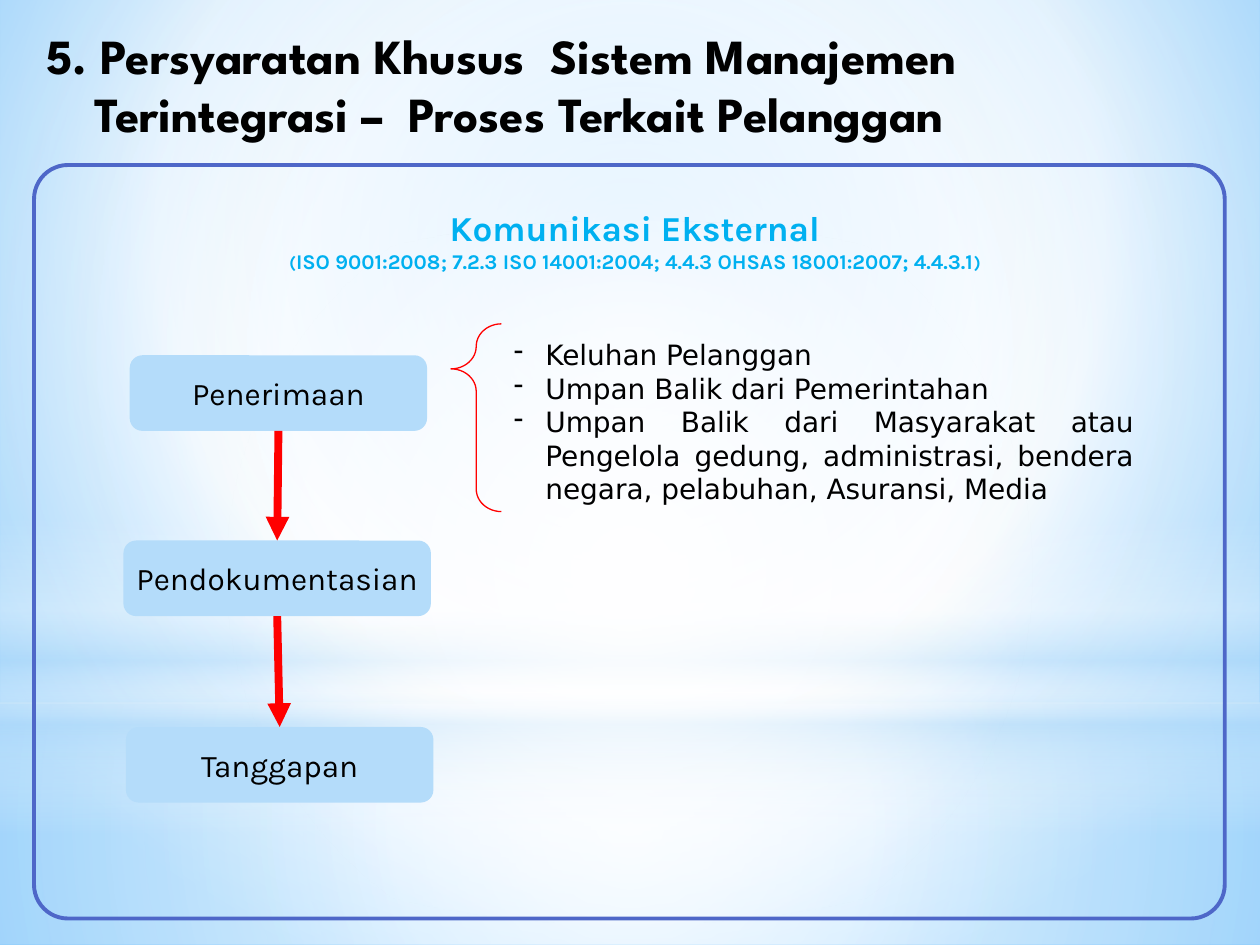
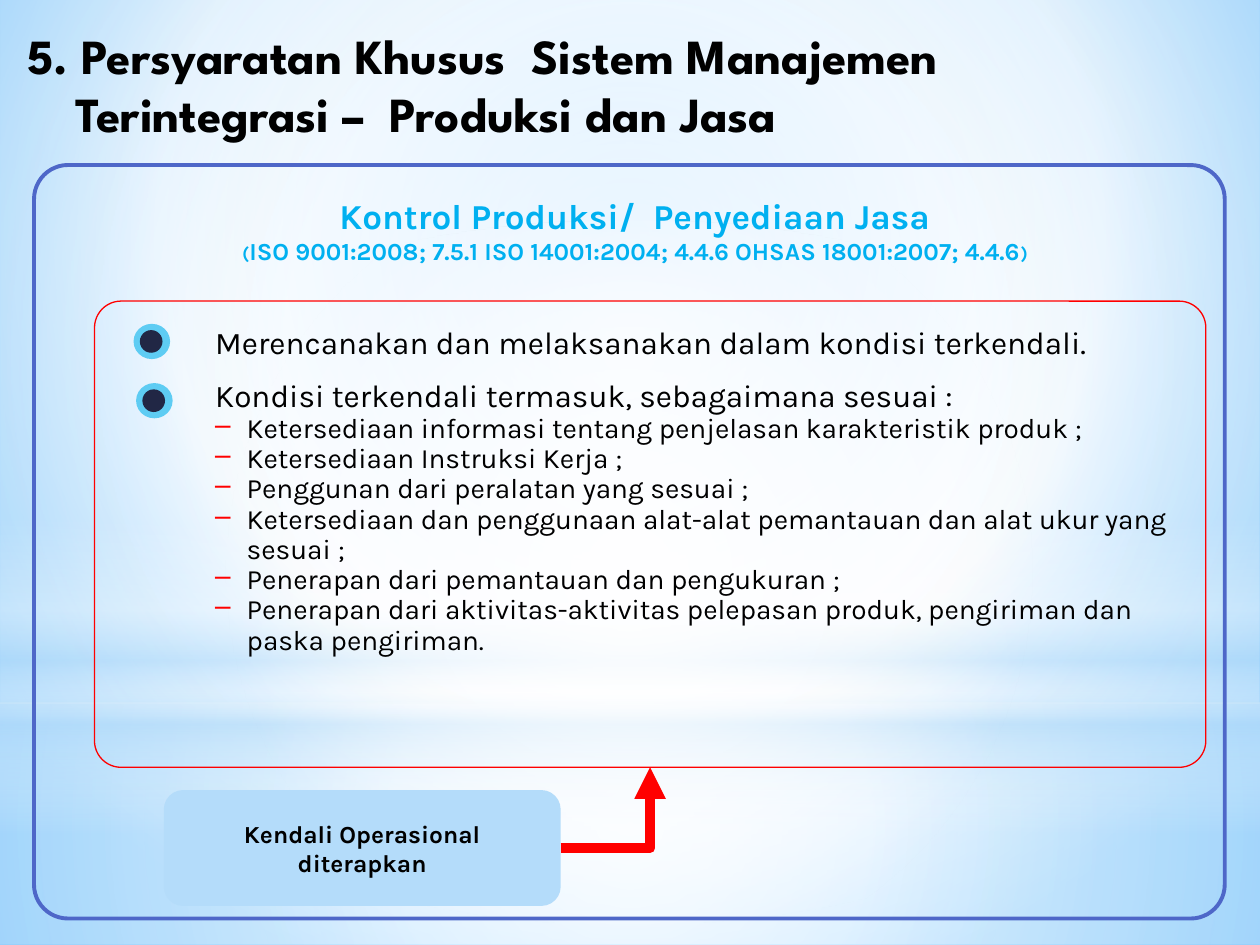
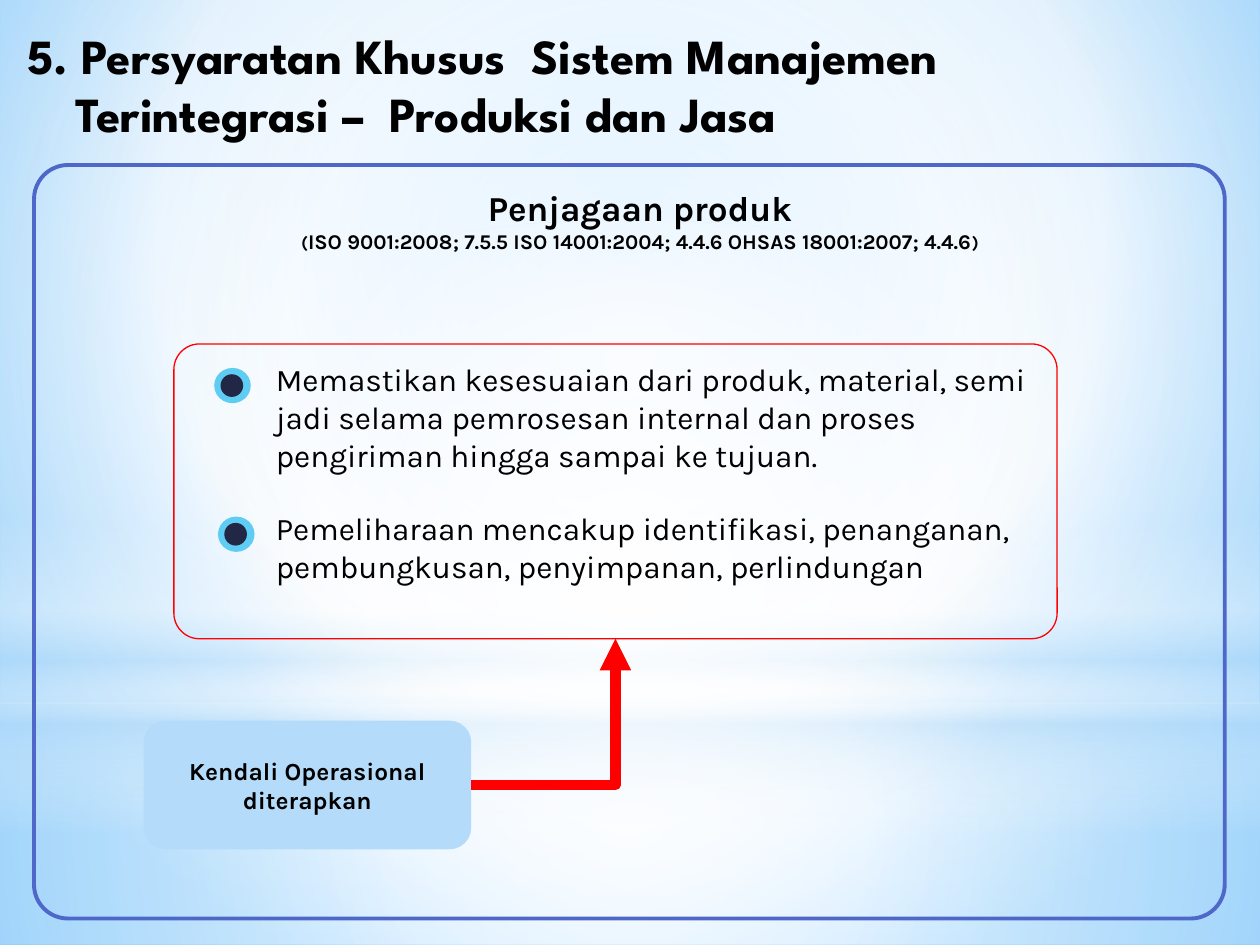
import itertools
from dataclasses import dataclass
from typing import NamedTuple, Optional

import pptx
import pptx.dml.color
import pptx.enum.shapes
import pptx.enum.text
import pptx.oxml.ns
import pptx.shapes.autoshape
import pptx.shapes.connector
import pptx.slide
import pptx.text.text
import pptx.util
from lxml import etree

Inches = pptx.util.Inches
Pt = pptx.util.Pt
qn = pptx.oxml.ns.qn
MSO_SHAPE = pptx.enum.shapes.MSO_SHAPE
CONNECTOR = pptx.enum.shapes.MSO_CONNECTOR
ALIGN = pptx.enum.text.PP_ALIGN


@dataclass(frozen=True)
class Theme:
    ink: str = "000000"
    accent: str = "00B0F0"
    red: str = "FF0000"
    frame: str = "4E67C8"
    step: str = "B4DCFA"
    white: str = "FFFFFF"
    sky: str = "9ED5FF"
    deep_sky: str = "5BB9FF"
    ring: str = "5ECCF3"
    core: str = "212745"
    title_font: str = "League Spartan"
    body_font: str = "Karla"
    note_font: str = "DejaVu Sans"
    title_size: float = 28
    heading_size: float = 20
    body_size: float = 18
    list_size: float = 16
    label_size: float = 14
    clause_size: float = 12
    bracket_size: float = 10


THEME = Theme()


class Box(NamedTuple):
    left: float
    top: float
    width: float
    height: float

    @property
    def center_x(self) -> float:
        return self.left + self.width / 2

    @property
    def middle_y(self) -> float:
        return self.top + self.height / 2

    @property
    def bottom(self) -> float:
        return self.top + self.height

    def lengths(self) -> list[pptx.util.Length]:
        return [Inches(value) for value in self]


class Stop(NamedTuple):
    position: int
    color: str
    opacity: int = 100


class Piece(NamedTuple):
    text: str
    size: float


@dataclass(frozen=True)
class Para:
    pieces: tuple[Piece, ...]
    font: str = THEME.body_font
    color: str = THEME.ink
    bold: bool = False
    align: Optional[ALIGN] = None
    hanging: float = 0
    spacing: Optional[float] = None
    level: int = 0
    bullet: str = ""
    bullet_color: str = ""


class Glow(NamedTuple):
    """One translucent layer of the shared backdrop."""
    kind: MSO_SHAPE
    box: Box
    stops: tuple[Stop, ...]
    angle: Optional[int] = None


CENTERED = (50, 50, 50, 50)
SKY_STOPS = (Stop(0, THEME.sky), Stop(60, THEME.white), Stop(100, THEME.deep_sky))
GLOWS = (
    Glow(MSO_SHAPE.RECTANGLE, Box(0, 5.58, 10, 1.92),
         (Stop(0, THEME.white, 91), Stop(37, THEME.white, 76), Stop(100, THEME.step, 79))),
    Glow(MSO_SHAPE.RECTANGLE, Box(0, 0, 10, 5.58),
         (Stop(0, THEME.white, 89), Stop(48, THEME.white, 62), Stop(100, THEME.step, 79))),
    Glow(MSO_SHAPE.RECTANGLE, Box(0, 4.12, 10, 2.5),
         (Stop(0, THEME.white, 0), Stop(29, THEME.white, 30), Stop(45, THEME.step, 40),
          Stop(55, THEME.white, 26), Stop(65, THEME.step, 60), Stop(100, THEME.white, 0)), 90),
    Glow(MSO_SHAPE.OVAL, Box(0, 1.75, 10, 5.58),
         (Stop(0, THEME.white), Stop(56, THEME.white, 0))),
)
FRAME = Box(0.27, 1.31, 9.45, 5.98)
PRODUCTION_TITLE = "5. Persyaratan Khusus  Sistem Manajemen  Terintegrasi –  Produksi dan Jasa"
PRODUCTION_TITLE_BOX = Box(0.12, 0.15, 9.6, 1.05)


def rgb(color: str) -> pptx.dml.color.RGBColor:
    return pptx.dml.color.RGBColor.from_string(color)


def set_gradient(owner: etree._Element, stops: tuple[Stop, ...],
                 angle: Optional[int] = None,
                 focus: tuple[int, ...] = CENTERED) -> None:
    """Give the first gradient inside owner its stops and its direction."""
    gradient = next(owner.iter(qn("a:gradFill")))
    for child in list(gradient):
        gradient.remove(child)
    stop_list = etree.SubElement(gradient, qn("a:gsLst"))
    for stop in stops:
        mark = etree.SubElement(stop_list, qn("a:gs"), pos=str(stop.position * 1000))
        color = etree.SubElement(mark, qn("a:srgbClr"), val=stop.color)
        if stop.opacity < 100:
            etree.SubElement(color, qn("a:alpha"), val=str(stop.opacity * 1000))
    if angle is not None:
        etree.SubElement(gradient, qn("a:lin"), ang=str(angle * 60000), scaled="0")
        return
    circle = etree.SubElement(gradient, qn("a:path"), {"path": "circle"})
    edges = {edge: str(share * 1000) for edge, share in zip("ltrb", focus)}
    etree.SubElement(circle, qn("a:fillToRect"), edges)


def add_figure(shapes, kind: MSO_SHAPE, box: Box, fill: str = "", line: str = "",
               line_width: float = 0.75,
               adjustments: tuple[float, ...] = ()) -> pptx.shapes.autoshape.Shape:
    figure = shapes.add_shape(kind, *box.lengths())
    figure.shadow.inherit = False
    for index, value in enumerate(adjustments):
        figure.adjustments[index] = value
    if fill:
        figure.fill.solid()
        figure.fill.fore_color.rgb = rgb(fill)
    else:
        figure.fill.background()
    if line:
        figure.line.color.rgb = rgb(line)
        figure.line.width = Pt(line_width)
    else:
        figure.line.fill.background()
    return figure


def paint_master(master: pptx.slide.SlideMaster, slide: pptx.slide.Slide) -> None:
    """Draw the backdrop layers and move them behind everything on the master."""
    master.background.fill.gradient()
    set_gradient(master.element, SKY_STOPS, focus=(20, 10, 20, 60))
    for glow in GLOWS:
        layer = add_figure(slide.shapes, glow.kind, glow.box)
        layer.fill.gradient()
        set_gradient(layer.element, glow.stops, glow.angle)
        master.shapes.element.append(layer.element)


def format_paragraph(paragraph: pptx.text.text._Paragraph, para: Para) -> None:
    paragraph.alignment = para.align
    paragraph.level = para.level
    if para.spacing:
        paragraph.line_spacing = para.spacing
    properties = paragraph._p.get_or_add_pPr()
    if para.hanging:
        properties.set("marL", str(Inches(para.hanging)))
        properties.set("indent", str(-Inches(para.hanging)))
    if para.bullet_color:
        bullet_color = etree.SubElement(properties, qn("a:buClr"))
        etree.SubElement(bullet_color, qn("a:srgbClr"), val=para.bullet_color)
    if para.bullet:
        etree.SubElement(properties, qn("a:buChar"), char=para.bullet)
    for piece in para.pieces:
        run = paragraph.add_run()
        run.text = piece.text
        run.font.name = para.font
        run.font.size = Pt(piece.size)
        run.font.bold = para.bold
        run.font.color.rgb = rgb(para.color)


def write(frame: pptx.text.text.TextFrame, paras: list[Para], wrap: bool = True) -> None:
    frame.word_wrap = wrap
    for index, para in enumerate(paras):
        paragraph = frame.add_paragraph() if index else frame.paragraphs[0]
        format_paragraph(paragraph, para)


def add_text(slide: pptx.slide.Slide, box: Box, paras: list[Para]) -> None:
    write(slide.shapes.add_textbox(*box.lengths()).text_frame, paras)


def add_label(slide: pptx.slide.Slide, box: Box, paras: list[Para], fill: str = "") -> None:
    label = add_figure(slide.shapes, MSO_SHAPE.ROUNDED_RECTANGLE, box, fill,
                       adjustments=(0.167,))
    label.text_frame.vertical_anchor = pptx.enum.text.MSO_ANCHOR.MIDDLE
    write(label.text_frame, paras, wrap=False)


def add_arrow(slide: pptx.slide.Slide, kind: CONNECTOR, start: tuple[float, float],
              end: tuple[float, float], width: float) -> pptx.shapes.connector.Connector:
    ends = [Inches(value) for value in (*start, *end)]
    arrow = slide.shapes.add_connector(kind, *ends)
    arrow.line.color.rgb = rgb(THEME.red)
    arrow.line.width = Pt(width)
    properties = arrow.element.spPr
    etree.SubElement(properties.find(qn("a:ln")), qn("a:tailEnd"), type="triangle")
    etree.SubElement(properties, qn("a:effectLst"))
    return arrow


def add_outline(slide: pptx.slide.Slide, box: Box, color: str, width: float,
                corner: float) -> None:
    add_figure(slide.shapes, MSO_SHAPE.ROUNDED_RECTANGLE, box, line=color,
               line_width=width, adjustments=(corner,))


def add_title(slide: pptx.slide.Slide, box: Box, title: str) -> None:
    """Add the slide title and the frame below it."""
    add_outline(slide, FRAME, THEME.frame, 2.25, 0.045)
    add_text(slide, box, [Para((Piece(title, THEME.title_size),), THEME.title_font,
                               bold=True, hanging=0.38)])


def add_heading(slide: pptx.slide.Slide, left: float, top: float, heading: str,
                clauses: str, color: str = THEME.accent,
                clause_size: float = THEME.clause_size,
                bracket_size: float = THEME.bracket_size) -> None:
    lines = ((Piece(heading, THEME.heading_size),),
             (Piece("(", bracket_size), Piece(clauses, clause_size),
              Piece(")", bracket_size)))
    add_label(slide, Box(left, top, 9.06, 0.87),
              [Para(line, color=color, bold=True, align=ALIGN.CENTER) for line in lines])


def add_marker(slide: pptx.slide.Slide, left: float, top: float) -> None:
    """Add a round bullet: a light ring with a dark core."""
    marker = slide.shapes.add_group_shape()
    add_figure(marker.shapes, MSO_SHAPE.OVAL, Box(left, top, 0.29, 0.28), THEME.ring)
    add_figure(marker.shapes, MSO_SHAPE.OVAL,
               Box(left + 0.05, top + 0.05, 0.18, 0.18), THEME.core)


def add_operational_control(slide: pptx.slide.Slide, control: Box, rules: Box,
                            corner: float) -> None:
    """Outline the rules and lead the control box to them with a bent arrow."""
    add_outline(slide, rules, THEME.red, 0.75, corner)
    add_label(slide, control,
              [Para((Piece(line, THEME.label_size),), bold=True, align=ALIGN.CENTER)
               for line in ("Kendali Operasional", "diterapkan")], THEME.step)
    arrow = add_arrow(slide, CONNECTOR.ELBOW,
                      (control.left + control.width, control.middle_y),
                      (rules.center_x, rules.bottom), 6)
    arrow.element.spPr.find(qn("a:prstGeom")).set("prst", "bentConnector2")


def build_communication(slide: pptx.slide.Slide) -> None:
    add_heading(slide, 0.51, 1.47, "Komunikasi Eksternal",
                "ISO 9001:2008; 7.2.3 ISO 14001:2004; 4.4.3 OHSAS 18001:2007; 4.4.3.1")
    steps = {
        "Penerimaan": Box(1.03, 2.82, 2.36, 0.6),
        "Pendokumentasian": Box(0.98, 4.29, 2.44, 0.6),
        "Tanggapan": Box(1, 5.77, 2.44, 0.6),
    }
    for step, box in steps.items():
        add_label(slide, box, [Para((Piece(step, THEME.body_size),), align=ALIGN.CENTER)],
                  THEME.step)
    for upper, lower in itertools.pairwise(steps.values()):
        add_arrow(slide, CONNECTOR.STRAIGHT, (upper.center_x, upper.bottom),
                  (lower.center_x, lower.top), 4.5)
    inputs = (
        "Keluhan Pelanggan",
        "Umpan Balik dari Pemerintahan",
        "Umpan Balik dari Masyarakat atau Pengelola gedung, administrasi, "
        "bendera negara, pelabuhan, Asuransi, Media",
    )
    add_text(slide, Box(3.98, 2.63, 5.12, 1.55),
             [Para((Piece(text, THEME.list_size),), THEME.note_font, align=ALIGN.JUSTIFY,
                   hanging=0.25, bullet="-") for text in inputs])
    add_figure(slide.shapes, MSO_SHAPE.LEFT_BRACE, Box(3.58, 2.57, 0.4, 1.49),
               line=THEME.red, adjustments=(0.622, 0.24))
    add_title(slide, Box(0.27, 0.15, 9.45, 1.05),
              "5. Persyaratan Khusus  Sistem Manajemen  Terintegrasi –  "
              "Proses Terkait Pelanggan")


def build_production_control(slide: pptx.slide.Slide) -> None:
    add_heading(slide, 0.51, 1.39, "Kontrol Produksi/  Penyediaan Jasa",
                "ISO 9001:2008; 7.5.1 ISO 14001:2004; 4.4.6 OHSAS 18001:2007; 4.4.6",
                clause_size=THEME.label_size, bracket_size=10.5)
    add_operational_control(slide, Box(1.3, 6.27, 3.15, 0.92),
                            Box(0.75, 2.39, 8.82, 3.7), 0.057)
    add_marker(slide, 1.06, 2.57)
    add_marker(slide, 1.08, 3.04)
    planning, conditions = (
        Para((Piece(text, THEME.body_size),), hanging=0.38, spacing=0.9)
        for text in ("Merencanakan dan melaksanakan dalam kondisi terkendali.",
                     "Kondisi terkendali termasuk, sebagaimana sesuai :"))
    details = (
        "Ketersediaan informasi tentang penjelasan karakteristik produk ;",
        "Ketersediaan Instruksi Kerja ;",
        "Penggunan dari peralatan yang sesuai ;",
        "Ketersediaan dan penggunaan alat-alat pemantauan dan alat ukur yang sesuai ;",
        "Penerapan dari pemantauan dan pengukuran ;",
        "Penerapan dari aktivitas-aktivitas pelepasan produk, pengiriman dan "
        "paska pengiriman.",
    )
    add_text(slide, Box(1.61, 2.55, 7.8, 0.3), [planning])
    add_text(slide, Box(1.61, 2.97, 7.8, 2.36), [conditions] + [
        Para((Piece(text, THEME.list_size),), hanging=0.25, spacing=0.9, level=1,
             bullet="–", bullet_color=THEME.red) for text in details])
    add_title(slide, PRODUCTION_TITLE_BOX, PRODUCTION_TITLE)


def build_product_care(slide: pptx.slide.Slide) -> None:
    add_heading(slide, 0.55, 1.31, "Penjagaan produk",
                "ISO 9001:2008; 7.5.5 ISO 14001:2004; 4.4.6 OHSAS 18001:2007; 4.4.6",
                color=THEME.ink)
    add_operational_control(slide, Box(1.14, 5.72, 2.6, 1.02),
                            Box(1.38, 2.73, 7.01, 2.34), 0.087)
    add_marker(slide, 1.7, 2.92)
    add_marker(slide, 1.73, 4.1)
    rules = {
        "Memastikan kesesuaian dari produk, material, semi jadi selama pemrosesan "
        "internal dan proses pengiriman hingga sampai ke tujuan.":
            Box(2.09, 2.81, 6.22, 0.94),
        "Pemeliharaan mencakup identifikasi, penanganan, pembungkusan, penyimpanan, "
        "perlindungan": Box(2.09, 3.99, 6.22, 0.71),
    }
    for text, box in rules.items():
        add_text(slide, box, [Para((Piece(text, THEME.body_size),))])
    add_title(slide, PRODUCTION_TITLE_BOX, PRODUCTION_TITLE)


def main() -> None:
    deck = pptx.Presentation()
    deck.slide_width, deck.slide_height = Inches(10), Inches(7.5)
    blank = deck.slide_layouts[6]
    builders = (build_communication, build_production_control, build_product_care)
    slides = [deck.slides.add_slide(blank) for _ in builders]
    paint_master(deck.slide_master, slides[0])
    for build, slide in zip(builders, slides):
        build(slide)
    deck.save("out.pptx")


if __name__ == "__main__":
    main()
